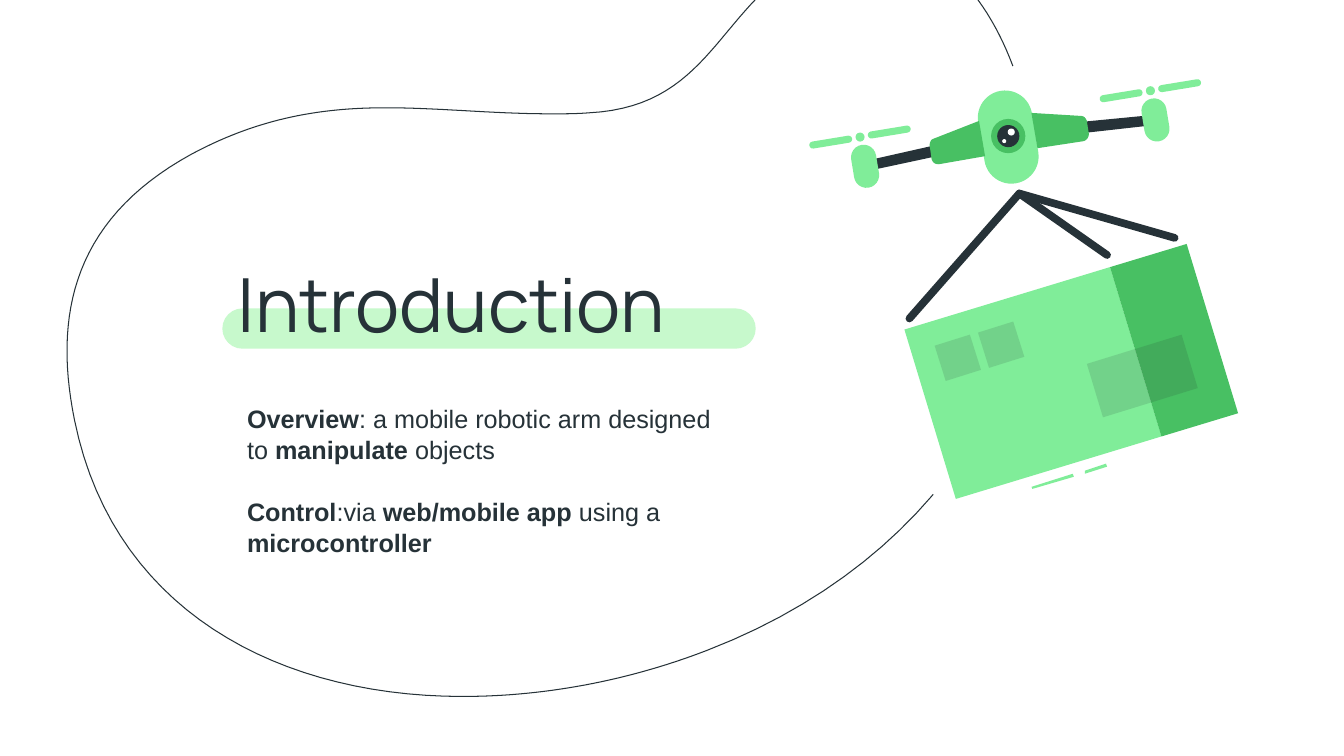
import pptx
import pptx.dml.color
import pptx.enum.shapes
import pptx.enum.text
import pptx.oxml
import pptx.oxml.ns
import pptx.util
from pptx.util import Inches

INK, MINT, GREEN, PALE, WHITE = "263238", "80ED99", "48C063", "C7F9CC", "FFFFFF"
SHADE = "1A2327"
TILT = -9.3
KIND = pptx.enum.shapes.MSO_SHAPE

# Outlines: pairs are corners, sixes are Bezier curves
FLIGHT_PATH = [
    (8.68, -0.59), (8.48, -0.59, 8.26, -0.53, 8.02, -0.41),
    (7.12, 0.06, 7.06, 1.06, 5.84, 1.12), (5.71, 1.13, 5.59, 1.13, 5.47, 1.13),
    (4.89, 1.13, 4.36, 1.07, 3.83, 1.07), (3.21, 1.07, 2.59, 1.16, 1.9, 1.53),
    (0.75, 2.16, 0.52, 3.09, 0.74, 4.17), (1.12, 6.04, 2.74, 6.91, 4.59, 6.91),
    (5.38, 6.91, 6.22, 6.76, 7.02, 6.45), (9.55, 5.47, 10.73, 3.23, 10.15, 0.99),
    (9.98, 0.31, 9.5, -0.59, 8.68, -0.59)]
RIGHT_WING = [(10.23, 1.12), (10.29, 1.47), (10.75, 1.4),
              (10.78, 1.39, 10.8, 1.36, 10.8, 1.33), (10.78, 1.2),
              (10.77, 1.17, 10.75, 1.15, 10.72, 1.15)]
LEFT_WING = [(9.71, 1.2), (9.25, 1.38), (9.23, 1.39, 9.22, 1.42, 9.22, 1.44),
             (9.24, 1.58), (9.25, 1.61, 9.27, 1.63, 9.31, 1.63), (9.77, 1.55)]


def rgb(color):
    return pptx.dml.color.RGBColor.from_string(color)


def paint(shape, color, opacity=100):
    shape.shadow.inherit = False
    shape.line.fill.background()
    shape.fill.solid()
    shape.fill.fore_color.rgb = rgb(color)
    if opacity < 100:
        tint = shape.fill._xPr.find(".//" + pptx.oxml.ns.qn("a:srgbClr"))
        tint.append(pptx.oxml.parse_xml(
            f'<a:alpha {pptx.oxml.ns.nsdecls("a")} val="{opacity * 1000}"/>'))


def add_centered(page, kind, x, y, width, height, color, turn=0):
    shape = page.shapes.add_shape(kind, Inches(x - width / 2), Inches(y - height / 2),
                                  Inches(width), Inches(height))
    paint(shape, color)
    shape.rotation = turn
    return shape


def add_capsule(page, x, y, width, height, color, turn=TILT):
    add_centered(page, KIND.ROUNDED_RECTANGLE, x, y, width, height, color, turn).adjustments[0] = 0.5


def add_circle(page, x, y, size, color):
    add_centered(page, KIND.OVAL, x, y, size, size, color)


def flatten(outline, steps):
    points = []
    for part in outline:
        if len(part) == 2:
            points.append(part)
            continue
        ends = [points[-1], part[:2], part[2:4], part[4:]]
        for step in range(1, steps + 1):
            t = step / steps
            weights = ((1 - t) ** 3, 3 * t * (1 - t) ** 2, 3 * t * t * (1 - t), t ** 3)
            points.append(tuple(sum(w * end[axis] for w, end in zip(weights, ends))
                                for axis in (0, 1)))
    return points


def add_outline(page, outline, color, opacity=100, steps=6):
    points = [(Inches(x), Inches(y)) for x, y in flatten(outline, steps)]
    builder = page.shapes.build_freeform(*points[0])
    builder.add_line_segments(points[1:], close=True)
    shape = builder.convert_to_shape()
    paint(shape, color, opacity)
    return shape


def add_rope(page, start, end):
    rope = page.shapes.add_connector(pptx.enum.shapes.MSO_CONNECTOR.STRAIGHT,
                                     *(Inches(value) for value in start + end))
    rope.line.color.rgb = rgb(INK)
    rope.line.width = pptx.util.Pt(5.5)
    rope.line._get_or_add_ln().set("cap", "rnd")
    rope.element.spPr.append(pptx.oxml.parse_xml(
        f'<a:effectLst {pptx.oxml.ns.nsdecls("a")}/>'))


def fill_placeholder(box, place, inset, anchor, paragraphs, font, size, gap=0, spacing=1.0):
    box.left, box.top, box.width, box.height = (Inches(value) for value in place)
    box.element.getparent().append(box.element)
    frame = box.text_frame
    frame.word_wrap = True
    frame.auto_size = pptx.enum.text.MSO_AUTO_SIZE.NONE
    frame.vertical_anchor = anchor
    frame.margin_left = frame.margin_right = Inches(inset)
    frame.margin_top = frame.margin_bottom = Inches(inset)
    for index, spans in enumerate(paragraphs):
        para = frame.add_paragraph() if index else frame.paragraphs[0]
        para.alignment = pptx.enum.text.PP_ALIGN.LEFT
        para.line_spacing = spacing
        para.space_before = pptx.util.Pt(gap if index else 0)
        para.space_after = pptx.util.Pt(0)
        for text, bold in spans:
            span = para.add_run()
            span.text = text
            span.font.name = font
            span.font.size = pptx.util.Pt(size)
            span.font.bold = bold
            span.font.color.rgb = rgb(INK)


def add_parcel(page):
    # Motion marks below the parcel
    add_outline(page, [(10.64, 4.7), (10.23, 4.83), (10.24, 4.85), (10.65, 4.73)], MINT)
    add_outline(page, [(10.97, 4.6), (10.76, 4.67), (10.76, 4.7), (10.98, 4.63)], MINT)
    # Front and side
    add_outline(page, [(11.01, 2.65), (8.97, 3.27), (9.48, 4.95), (11.52, 4.33)], MINT)
    add_outline(page, [(11.77, 2.42), (11.01, 2.65), (11.52, 4.33), (12.28, 4.1)], GREEN)
    # Label and two stamps
    add_outline(page, [(11.72, 3.32), (10.78, 3.61), (10.94, 4.14), (11.88, 3.85)], SHADE, 13)
    for x, y in [(9.27, 3.43), (9.7, 3.3)]:
        add_outline(page, [(x + 0.35, y - 0.11), (x, y), (x + 0.11, y + 0.35),
                           (x + 0.46, y + 0.24)], SHADE, 13)


def add_drone(page):
    # Body and camera
    add_capsule(page, 10, 1.36, 0.54, 0.93, MINT)
    for x, y, size, color in [(10, 1.35, 0.34, GREEN), (10, 1.35, 0.22, INK),
                              (10.03, 1.31, 0.07, WHITE), (9.96, 1.4, 0.04, WHITE)]:
        add_circle(page, x, y, size, color)
    # Arms and wings
    add_outline(page, [(11.44, 1.14), (10.72, 1.21), (10.74, 1.32), (11.46, 1.24)], INK)
    add_outline(page, [(9.28, 1.44), (8.57, 1.6), (8.59, 1.7), (9.29, 1.55)], INK)
    add_outline(page, RIGHT_WING, GREEN)
    add_outline(page, LEFT_WING, GREEN)
    # Rotors: pod, hub and two blades on each side
    for x, y in [(11.41, 0.9), (8.53, 1.36)]:
        add_capsule(page, x + 0.05, y + 0.29, 0.25, 0.43, MINT)
        add_circle(page, x, y, 0.09, MINT)
        for side in (-1, 1):
            add_capsule(page, x + side * 0.29, y - side * 0.05, 0.43, 0.07, MINT)
    # Ropes
    for end in [(11.65, 2.36), (10.98, 2.53), (9.02, 3.16)]:
        add_rope(page, (10.11, 1.92), end)


def main():
    deck = pptx.Presentation()
    deck.slide_width, deck.slide_height = Inches(13.33), Inches(7.5)
    page = deck.slides.add_slide(deck.slide_layouts[0])
    title, subtitle = page.placeholders

    # Flight path and title highlight
    path_line = add_outline(page, FLIGHT_PATH, WHITE, steps=30)
    path_line.fill.background()
    path_line.line.color.rgb = rgb(INK)
    path_line.line.width = pptx.util.Pt(0.75)
    add_capsule(page, 4.85, 3.26, 5.29, 0.4, PALE, 0)

    # Illustration on a white disc
    add_circle(page, 10.4, 2.92, 4.58, WHITE)
    add_parcel(page)
    add_drone(page)

    # Text
    anchor = pptx.enum.text.MSO_ANCHOR
    fill_placeholder(title, (2.23, 2.43, 5.64, 1.06), 0.13, anchor.TOP,
                     [[("Introduction", False)]], "Manrope", 53.3)
    fill_placeholder(subtitle, (2.35, 3.95, 4.89, 1.62), 0.1, anchor.MIDDLE, [
        [("Overview", True), (": a mobile robotic arm designed to ", False),
         ("manipulate", True), (" objects", False)],
        [("Control", True), (":via ", False), ("web/mobile app ", True),
         ("using a ", False), ("microcontroller", True)],
    ], "Arial", 18, gap=21.5, spacing=1.04)
    deck.save("out.pptx")


if __name__ == "__main__":
    main()
